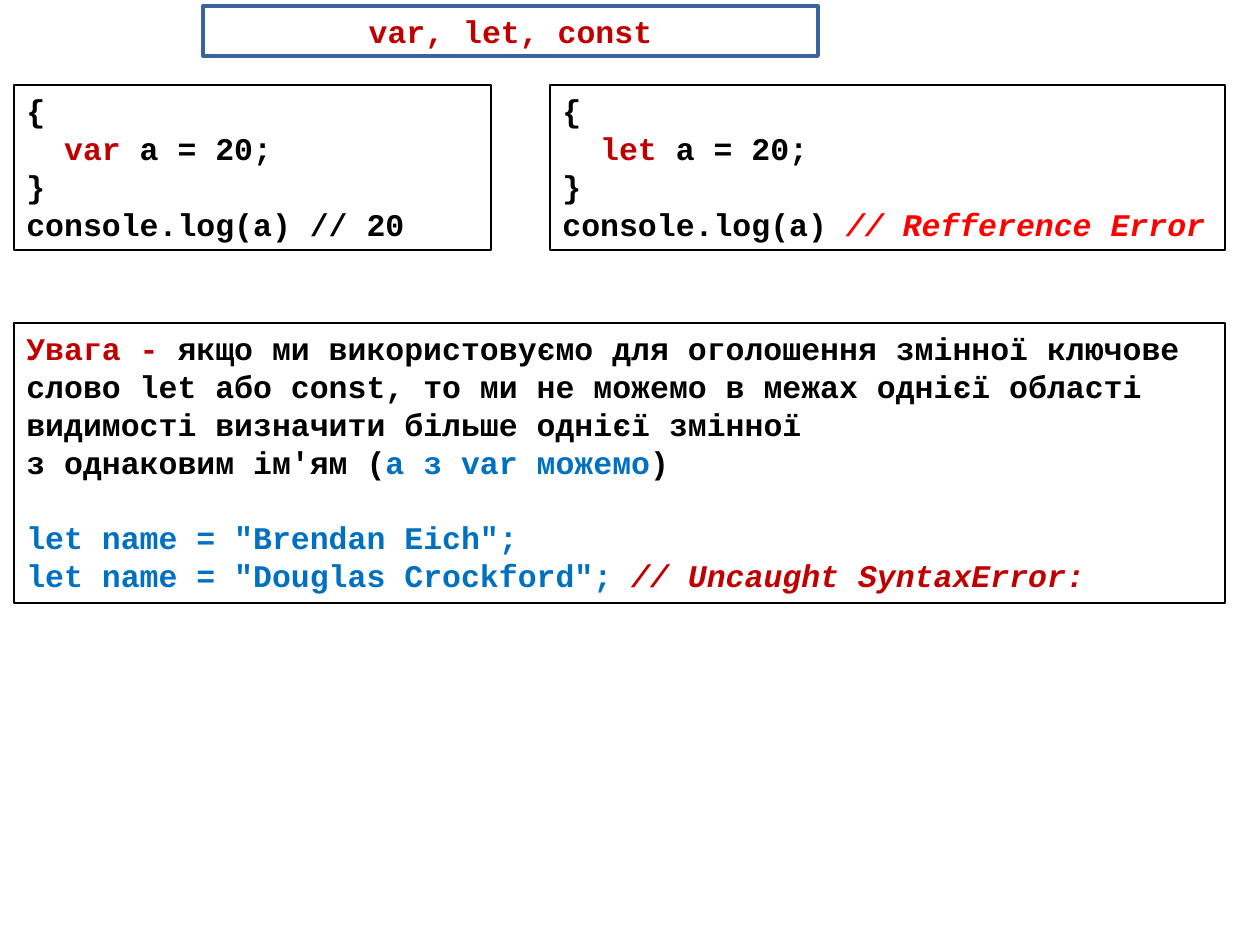
from pptx import Presentation
from pptx.dml.color import RGBColor
from pptx.enum.shapes import MSO_SHAPE
from pptx.enum.text import MSO_ANCHOR, MSO_AUTO_SIZE, PP_ALIGN
from pptx.util import Pt

RECT = MSO_SHAPE.RECTANGLE
TOP, MIDDLE = MSO_ANCHOR.TOP, MSO_ANCHOR.MIDDLE
GROW = MSO_AUTO_SIZE.SHAPE_TO_FIT_TEXT
LEFT, CENTER = PP_ALIGN.LEFT, PP_ALIGN.CENTER
PX = 914400 / 126
FONT, SIZE = "Courier New", 18
GAP = 21.6  # one line of text

COLORS = {"white": "FFFFFF", "black": "000000", "edge": "39639D",
          "dark": "C00000", "red": "FF0000", "blue": "0070C0"}


def color(name):
    return RGBColor.from_string(COLORS[name])


def add_box(place, edge, width, lines, align=LEFT):
    """Add a framed box; each line is a list of (text, color, italic) runs."""
    box = slide.shapes.add_shape(RECT, *(int(n * PX) for n in place))
    box.shadow.inherit = False
    box.fill.background()
    box.line.color.rgb = color(edge)
    box.line.width = Pt(width)
    frame = box.text_frame
    frame.word_wrap = True
    frame.vertical_anchor = TOP
    for i, line in enumerate(lines):
        para = frame.add_paragraph() if i else frame.paragraphs[0]
        para.alignment = align
        for text, tint, slant in line:
            run = para.add_run()
            run.text = text
            font = run.font
            font.name, font.size, font.bold = FONT, Pt(SIZE), True
            font.color.rgb = color(tint)
            if slant:
                font.italic = True
    return box


deck = Presentation()
deck.slide_width, deck.slide_height = int(1260 * PX), int(945 * PX)
slide = deck.slides.add_slide(deck.slide_layouts[6])

title = add_box((203, 6, 615, 50), "edge", 2.25,
                [[("var, let, const", "dark", False)]], CENTER)
title.fill.solid()
title.fill.fore_color.rgb = color("white")
title.text_frame.vertical_anchor = MIDDLE

samples = [
    (14, 477, "var", ("// 20", "black", False)),
    (550, 675, "let", ("// Refference Error", "red", True)),
]
for left, width, word, note in samples:
    code = add_box((left, 85, width, 165), "black", 0.75, [
        [("{", "black", False)],
        [("  ", "black", False), (word, "dark", False),
         (" a = 20;", "black", False)],
        [("}", "black", False)],
        [("console.log(a) ", "black", False), note],
    ])
    code.text_frame.auto_size = GROW

rule = add_box((14, 323, 1211, 280), "black", 0.75, [
    [("Увага - ", "dark", False),
     ("якщо ми використовуємо для оголошення змінної ключове слово let "
      "або const, то ми не можемо в межах однієї області видимості "
      "визначити більше однієї змінної", "black", False)],
    [("з однаковим ім'ям (", "black", False),
     ("a з var можемо", "blue", False), (")", "black", False)],
    [('let name = "Brendan Eich";', "blue", False)],
    [('let name = "Douglas Crockford"; ', "blue", False),
     ("// Uncaught SyntaxError:", "dark", True)],
])
rule.text_frame.auto_size = GROW
rule.text_frame.paragraphs[2].space_before = Pt(GAP)

deck.save("out.pptx")
